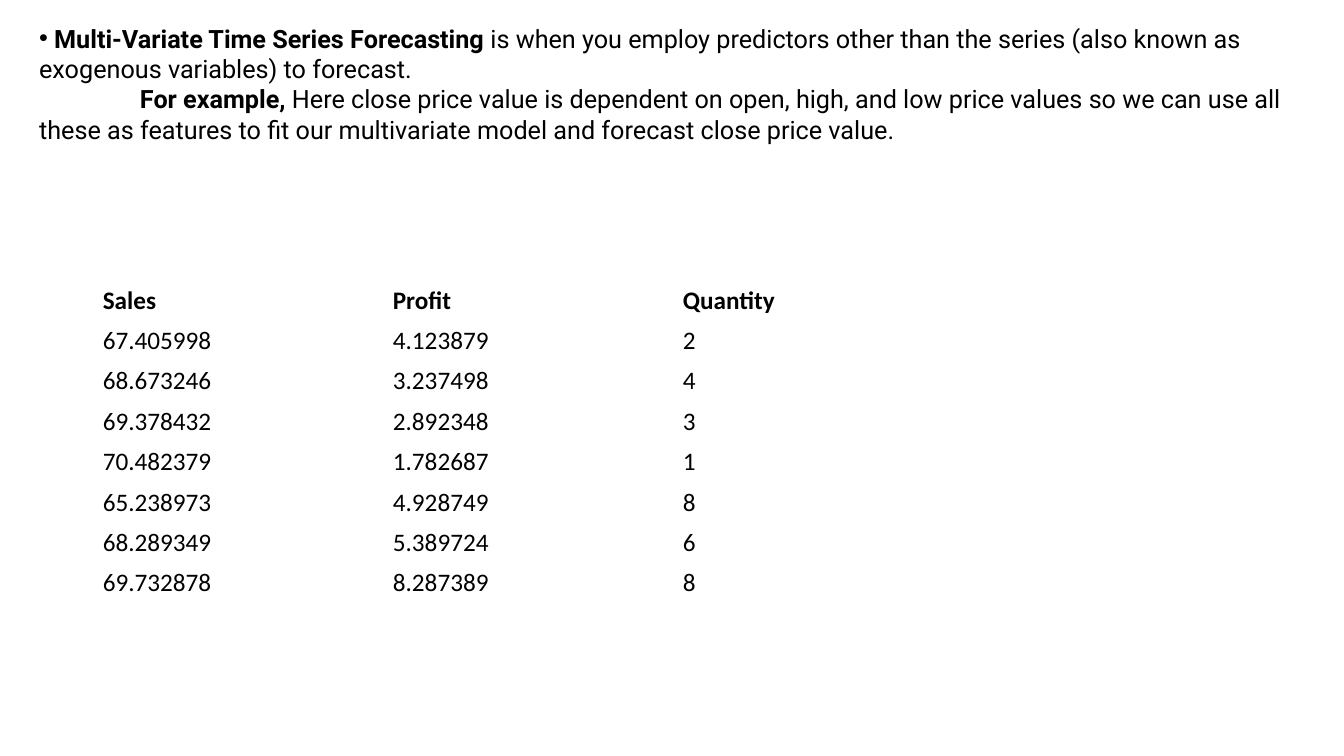
from lxml.etree import SubElement
from pptx import Presentation
from pptx.dml.color import RGBColor
from pptx.enum.text import MSO_ANCHOR
from pptx.oxml.ns import qn
from pptx.util import Inches, Pt

BLACK = RGBColor(0x00, 0x00, 0x00)
WHITE = RGBColor(0xFF, 0xFF, 0xFF)

DEFINITION = (
    " Multi-Variate Time Series Forecasting",
    " is when you employ predictors other than the series (also known as "
    "exogenous variables) to forecast.",
)
EXAMPLE = (
    "For example,",
    " Here close price value is dependent on open, high, and low price values "
    "so we can use all these as features to fit our multivariate model and "
    "forecast close price value.",
)
SALES_ROWS = [
    ("Sales", "Profit", "Quantity"),
    ("67.405998", "4.123879", "2"),
    ("68.673246", "3.237498", "4"),
    ("69.378432", "2.892348", "3"),
    ("70.482379", "1.782687", "1"),
    ("65.238973", "4.928749", "8"),
    ("68.289349", "5.389724", "6"),
    ("69.732878", "8.287389", "8"),
]


def format_run(run, font_name, bold):
    run.font.name = font_name
    run.font.size = Pt(18)
    run.font.bold = bold
    run.font.color.rgb = BLACK


def write_paragraph(paragraph, parts, indent, bullet=None):
    for position, text in enumerate(parts):
        run = paragraph.add_run()
        run.text = text
        format_run(run, "Roboto", bold=position == 0)
    properties = paragraph._p.get_or_add_pPr()
    properties.set("marL", "0")
    properties.set("indent", str(indent))
    if bullet:
        SubElement(properties, qn("a:buFont"), typeface="Arial")
        SubElement(properties, qn("a:buChar"), char=bullet)


def add_explanation(slide):
    shape = slide.shapes.add_textbox(
        Inches(0.29), Inches(0.18), Inches(12.9), Inches(1.31)
    )
    text_frame = shape.text_frame
    text_frame.word_wrap = True
    write_paragraph(text_frame.paragraphs[0], DEFINITION, Inches(0), bullet="•")
    write_paragraph(text_frame.add_paragraph(), EXAMPLE, Inches(1))


def format_cell(cell, text, bold):
    cell.text = text
    cell.vertical_anchor = MSO_ANCHOR.MIDDLE
    cell.fill.solid()
    cell.fill.fore_color.rgb = WHITE
    format_run(cell.text_frame.paragraphs[0].runs[0], "Calibri", bold)


def add_sales_table(slide, rows):
    table = slide.shapes.add_table(
        len(rows), len(rows[0]),
        Inches(0.92), Inches(2.78), Inches(8.63), Inches(0.4 * len(rows)),
    ).table
    table.horz_banding = False
    for row_index, values in enumerate(rows):
        for column_index, value in enumerate(values):
            format_cell(table.cell(row_index, column_index), value, row_index == 0)


def main():
    """Build the multivariate forecasting slide and save it."""
    presentation = Presentation()
    presentation.slide_width = Inches(13.33)
    presentation.slide_height = Inches(7.5)
    slide = presentation.slides.add_slide(presentation.slide_layouts[6])
    add_explanation(slide)
    add_sales_table(slide, SALES_ROWS)
    presentation.save("out.pptx")


if __name__ == "__main__":
    main()
